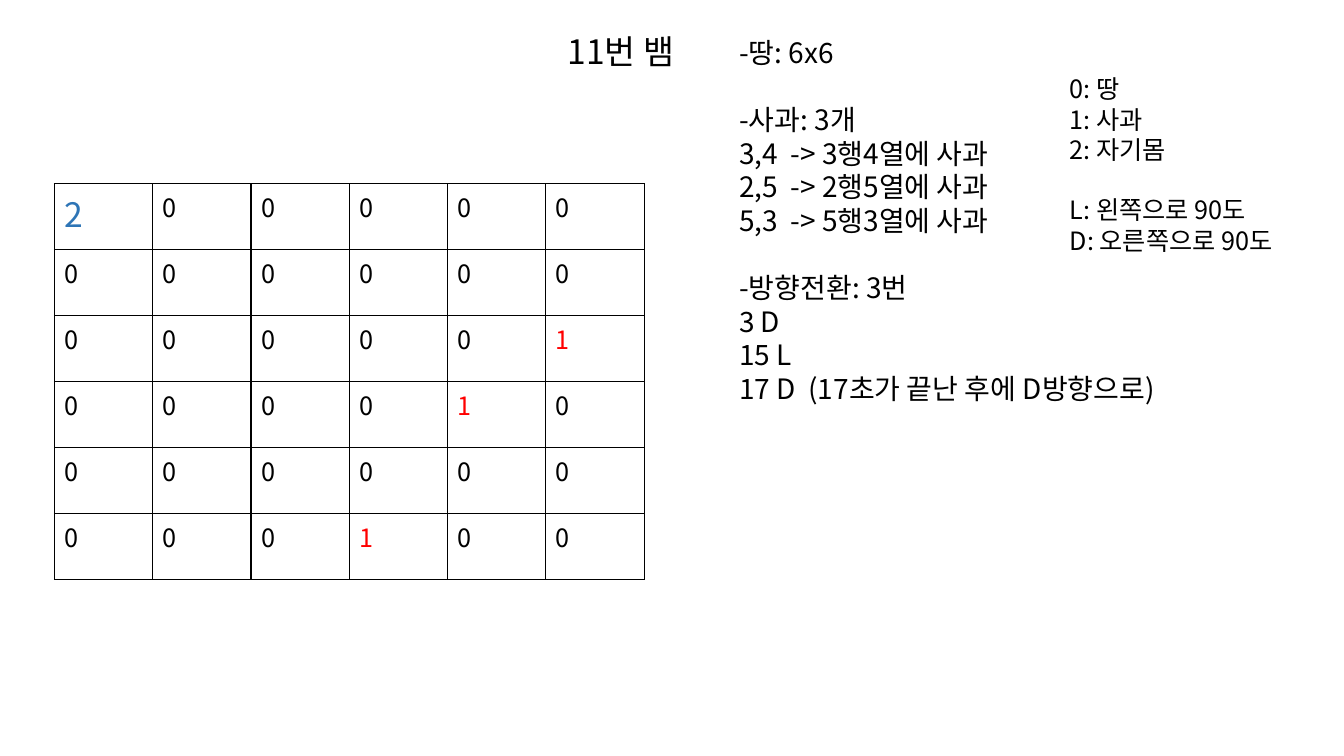
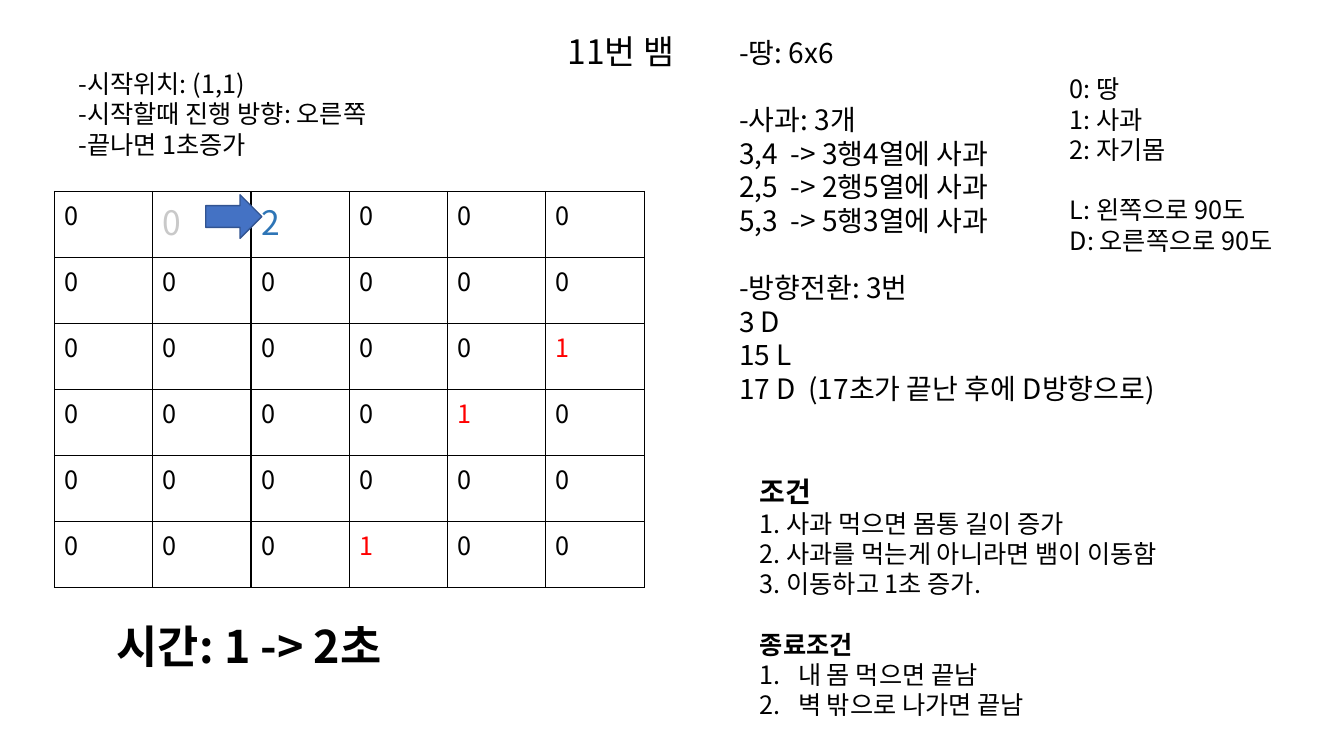
import lxml.etree
import pptx
import pptx.dml.color
import pptx.enum.shapes
import pptx.enum.text
import pptx.oxml.ns
import pptx.util

BLACK = pptx.dml.color.RGBColor(0x00, 0x00, 0x00)
RED = pptx.dml.color.RGBColor(0xFF, 0x00, 0x00)
BLUE = pptx.dml.color.RGBColor(0x2E, 0x75, 0xB6)
GREY = pptx.dml.color.RGBColor(0xC9, 0xC9, 0xC9)
ARROW = pptx.dml.color.RGBColor(0x44, 0x72, 0xC4)
EDGE = pptx.dml.color.RGBColor(0x32, 0x54, 0x91)
FONT = "Noto Sans CJK KR"
WIDE, HIGH = pptx.util.Inches(13.33), pptx.util.Inches(7.5)
SIDE = 6
LEADING = 1.2

APPLES = {cell: ("1", 18, RED) for cell in [(2, 5), (3, 4), (5, 3)]}
RULES = [
    ["-땅: 6x6"],
    ["-사과: 3개", "3,4  -> 3행4열에 사과", "2,5  -> 2행5열에 사과",
     "5,3  -> 5행3열에 사과"],
    ["-방향전환: 3번", "3 D", "15 L", "17 D  (17초가 끝난 후에 D방향으로)"],
]
LEGEND = [
    ["0: 땅", "1: 사과", "2: 자기몸"],
    ["L: 왼쪽으로 90도", "D: 오른쪽으로 90도"],
]
START = [["-시작위치: (1,1)", "-시작할때 진행 방향: 오른쪽", "-끝나면 1초증가"]]
TERMS = [
    ["조건", "1. 사과 먹으면 몸통 길이 증가", "2. 사과를 먹는게 아니라면 뱀이 이동함",
     "3. 이동하고 1초 증가."],
    ["종료조건", "내 몸 먹으면 끝남", "벽 밖으로 나가면 끝남"],
]


def area(left, top, width, height):
    """Turn percentages of the slide into a box of lengths."""
    return (int(WIDE * left / 100), int(HIGH * top / 100),
            int(WIDE * width / 100), int(HIGH * height / 100))


def add_tag(parent, tag, **attrs):
    """Append a drawing element and return it."""
    return lxml.etree.SubElement(parent, pptx.oxml.ns.qn(tag), **attrs)


def style(para, size, color=BLACK, bold=False):
    """Format the runs of a paragraph."""
    for run in para.runs:
        run.font.size = pptx.util.Pt(size)
        run.font.bold = bold
        run.font.name = FONT
        run.font.color.rgb = color
        add_tag(run._r.get_or_add_rPr(), "a:ea", typeface=FONT)


def bullet(para, auto=False):
    """Number a paragraph, or clear its bullet."""
    props = para._p.get_or_add_pPr()
    hang = pptx.util.Inches(0.38) if auto else 0
    props.set("marL", str(hang))
    props.set("indent", str(-hang))
    if auto:
        add_tag(props, "a:buFont", typeface="+mj-lt")
        add_tag(props, "a:buAutoNum", type="arabicPeriod")
    else:
        add_tag(props, "a:buNone")


def place(shape, box):
    """Move a text shape to its box and fix how its text sits."""
    shape.left, shape.top, shape.width, shape.height = box
    frame = shape.text_frame
    frame.word_wrap = True
    frame.auto_size = pptx.enum.text.MSO_AUTO_SIZE.NONE
    frame.vertical_anchor = pptx.enum.text.MSO_ANCHOR.TOP
    return frame


def write(shape, box, groups, size, heads=(), auto=()):
    """Write groups of lines with one line of space between groups."""
    frame = place(shape, box)
    frame.text = "\n".join(line for group in groups for line in group)
    paras = iter(frame.paragraphs)
    for rank, group in enumerate(groups):
        for row in range(len(group)):
            para = next(paras)
            head = bool(heads) and row == 0
            bullet(para, rank in auto and not head)
            gap = size * LEADING if rank and row == 0 else 0
            para.space_before = pptx.util.Pt(gap)
            para.line_spacing = 1.0
            para.alignment = pptx.enum.text.PP_ALIGN.LEFT
            style(para, heads[rank] if head else size, bold=head)


def label(slide, box, groups, size, heads=(), auto=()):
    """Add a text box holding groups of lines."""
    write(slide.shapes.add_textbox(*box), box, groups, size, heads, auto)


def board(slide, box, marks):
    """Draw the square board, with marks in place of plain zeros."""
    left, top, width, height = box
    table = slide.shapes.add_table(SIDE, SIDE, *box).table
    table.first_row = table.horz_banding = False
    for row in range(SIDE):
        table.rows[row].height = height // SIDE
        table.columns[row].width = width // SIDE
        for col in range(SIDE):
            cell = table.cell(row, col)
            text, size, color = marks.get((row, col), ("0", 18, BLACK))
            cell.text_frame.text = text
            style(cell.text_frame.paragraphs[0], size, color)
            props = cell._tc.get_or_add_tcPr()
            for edge in ("a:lnL", "a:lnR", "a:lnT", "a:lnB"):
                line = add_tag(props, edge, w=str(pptx.util.Pt(1)))
                add_tag(add_tag(line, "a:solidFill"), "a:srgbClr", val=str(BLACK))
            cell.fill.background()


def move(slide, box):
    """Draw the arrow for a step from the second to the third column."""
    left, top, width, height = box
    col, row = width / SIDE, height / SIDE
    arrow = slide.shapes.add_shape(
        pptx.enum.shapes.MSO_SHAPE.RIGHT_ARROW,
        int(left + 1.54 * col), int(top + 0.05 * row),
        int(0.57 * col), int(0.66 * row))
    arrow.shadow.inherit = False
    arrow.fill.solid()
    arrow.fill.fore_color.rgb = ARROW
    arrow.line.color.rgb = EDGE
    arrow.line.width = pptx.util.Pt(1)


def base(deck, box, marks):
    """Add a slide with the title, rules, legend and board."""
    slide = deck.slides.add_slide(deck.slide_layouts[3])
    frame = place(slide.shapes.title, area(8.7, 4, 75, 24.13))
    frame.text = "11번 뱀"
    para = frame.paragraphs[0]
    para.alignment = pptx.enum.text.PP_ALIGN.CENTER
    para.line_spacing = 0.9
    para.space_before = pptx.util.Pt(0)
    style(para, 24)
    write(slide.placeholders[1], area(54.24, 4, 37.13, 50.67), RULES, 20)
    write(slide.placeholders[2], area(78.84, 9.07, 19.5, 25.6), LEGEND, 18)
    board(slide, box, APPLES | marks)
    return slide


def setup(deck):
    """Build the slide with the board before the first move."""
    base(deck, area(4.05, 24.3, 43.89, 52.4), {(0, 0): ("2", 24, BLUE)})


def step(deck):
    """Build the slide with one move and the conditions."""
    box = area(4.05, 25.33, 43.89, 52.4)
    slide = base(deck, box, {(0, 1): ("0", 24, GREY), (0, 2): ("2", 24, BLUE)})
    move(slide, box)
    label(slide, area(5.1, 8.4, 26.33, 13.47), START, 18)
    label(slide, area(55.8, 62.13, 37.13, 34.13), TERMS, 18, (20, 18), (1,))
    label(slide, area(7.95, 81.2, 29.86, 8.53), [["시간: 1 -> 2초"]], 32, (32,))


def main():
    """Build and save the deck."""
    deck = pptx.Presentation()
    deck.slide_width, deck.slide_height = WIDE, HIGH
    setup(deck)
    step(deck)
    deck.save("out.pptx")


if __name__ == "__main__":
    main()
